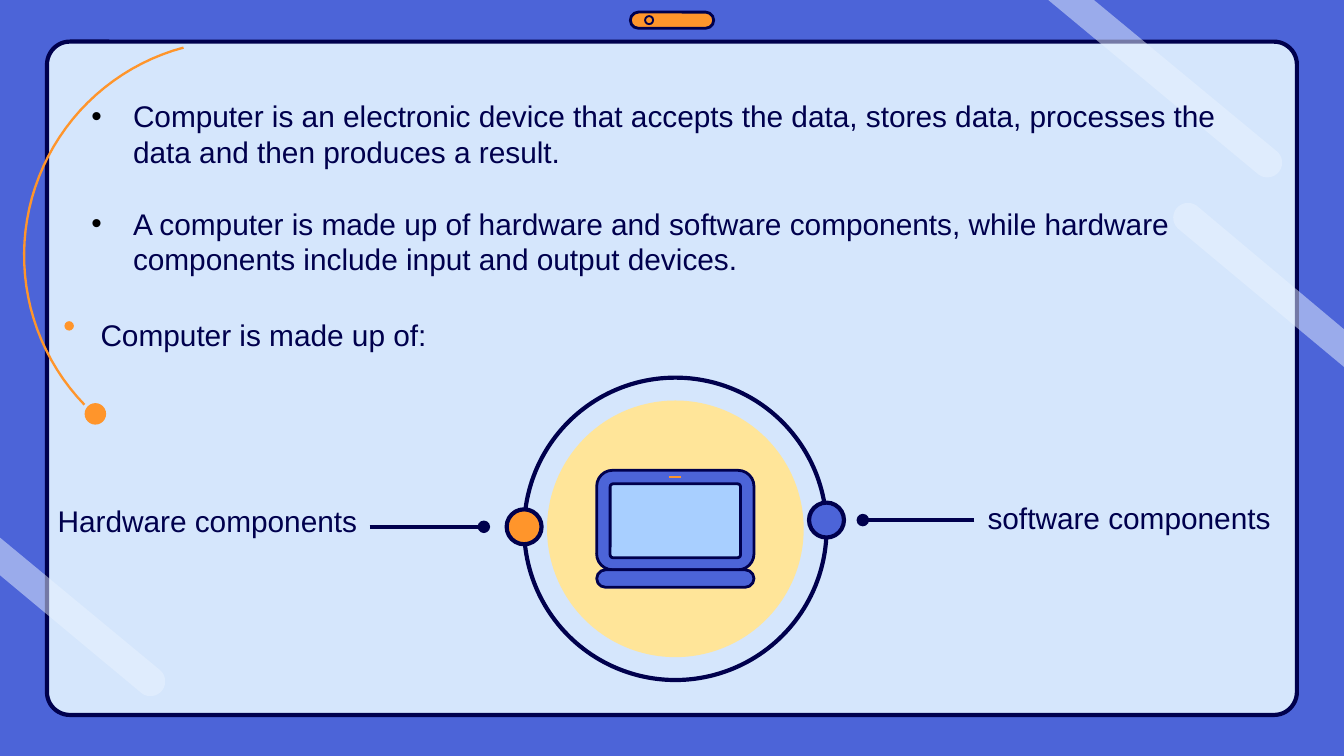
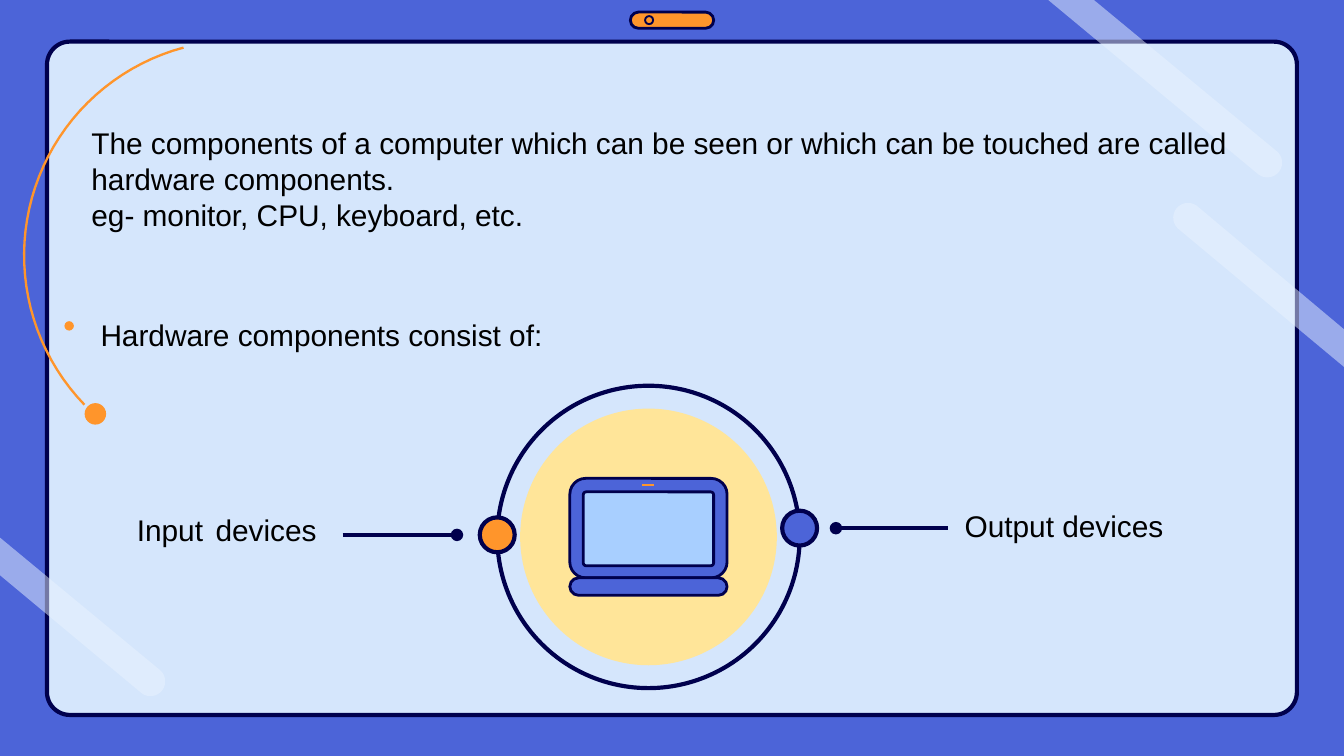
from math import cos, radians, sin

from lxml import etree
from pptx import Presentation
from pptx.dml.color import RGBColor
from pptx.enum.shapes import MSO_CONNECTOR, MSO_SHAPE
from pptx.enum.text import MSO_ANCHOR, MSO_AUTO_SIZE, PP_ALIGN
from pptx.oxml.ns import qn
from pptx.util import Inches, Pt

OVAL, ROUNDED = MSO_SHAPE.OVAL, MSO_SHAPE.ROUNDED_RECTANGLE
STRAIGHT = MSO_CONNECTOR.STRAIGHT
BLUE, NAVY, ORANGE, BLACK = "4C64D8", "00004D", "FF952B", "000000"
PALE, SCREEN, YELLOW, GLARE = "D5E6FC", "A8CFFF", "FFE599", "E9F3FF"


def style(sp, fill=None, line=None, width=0, alpha=None):
    """Set fill, outline and opacity (percent), and drop the shadow."""
    sp.shadow.inherit = False
    if fill:
        sp.fill.solid()
        sp.fill.fore_color.rgb = RGBColor.from_string(fill)
        if alpha:
            clr = sp.fill._xPr.find(".//" + qn("a:srgbClr"))
            etree.SubElement(clr, qn("a:alpha"), val=str(alpha * 1000))
    else:
        sp.fill.background()
    if line:
        sp.line.color.rgb = RGBColor.from_string(line)
        sp.line.width = Pt(width)
    else:
        sp.line.fill.background()


def write(tf, text, color=NAVY, size=16, gap=16, bullet=False, before=0, wrap=True):
    """Fill a text frame, one paragraph a line; gap is the size of spaces if it differs."""
    tf.word_wrap = wrap
    tf.auto_size = MSO_AUTO_SIZE.NONE
    tf.vertical_anchor = MSO_ANCHOR.TOP
    for i, line in enumerate(text.split("\n")):
        p = tf.add_paragraph() if i else tf.paragraphs[0]
        p.alignment = PP_ALIGN.LEFT
        p.space_before = Pt(before if i else 0)
        pPr = p._p.get_or_add_pPr()
        indent = Inches(0.31) if bullet else 0
        pPr.set("marL", str(indent))
        pPr.set("indent", str(-indent))
        if bullet:
            clr = etree.SubElement(pPr, qn("a:buClr"))
            etree.SubElement(clr, qn("a:srgbClr"), val=BLACK)
            etree.SubElement(pPr, qn("a:buFont"), typeface="Arial")
            etree.SubElement(pPr, qn("a:buChar"), char="•")
        else:
            etree.SubElement(pPr, qn("a:buNone"))
        pieces = [line] if gap == size else line.replace(" ", "\n \n").split("\n")
        for piece in pieces:
            r = p.add_run()
            r.text = piece
            r.font.name = "Arial"
            r.font.size = Pt(gap if piece == " " else size)
            r.font.color.rgb = RGBColor.from_string(color)


prs = Presentation()
prs.slide_width = Inches(10)
prs.slide_height = prs.slide_width * 9 // 16
layout = prs.slide_layouts[1]
layout.background.fill.solid()
layout.background.fill.fore_color.rgb = RGBColor.from_string(BLUE)
for ph in list(layout.placeholders):
    if ph.placeholder_format.idx != 1:
        ph._element.getparent().remove(ph._element)
body = layout.placeholders[0]
body.left, body.top, body.width, body.height = [Inches(v) for v in (0.58, 0.68, 8.71, 1.72)]

# Shared frame: built on the first slide, then moved to the layout
first = prs.slides.add_slide(layout)
frame = []
for kind, box, adj, fill, line, width in [
    (ROUNDED, (0.35, 0.31, 9.3, 5.01), 0.034, PALE, NAVY, 2.25),
    (ROUNDED, (4.69, 0.09, 0.62, 0.12), 0.5, ORANGE, NAVY, 1.5),
    (OVAL, (4.8, 0.12, 0.06, 0.06), None, None, NAVY, 1),
    (OVAL, (0.48, 2.39, 0.07, 0.07), None, ORANGE, None, 0),
    (OVAL, (0.63, 3, 0.16, 0.16), None, ORANGE, None, 0),
]:
    sp = first.shapes.add_shape(kind, *[Inches(v) for v in box])
    if adj:
        sp.adjustments[0] = adj
    style(sp, fill, line, width)
    frame.append(sp)

# Each curve: centre, radius, start and end angle, then the straight end points
arc = ((1.78, 1.9), 1.6, 136, 255, [])
glares = [
    ((9.43, 1.21), 0.11, -50, 130, [(7.8, 0), (8.14, 0)]),
    ((1.12, 5.07), 0.11, -50, 130, [(0, 4.28), (0, 4)]),
    ((8.84, 1.62), 0.11, 130, 310, [(10, 2.45), (10, 2.73)]),
]
for curve in [arc] + glares:
    (cx, cy), radius, start, end, tips = curve
    angles = [radians(start + (end - start) * i / 40) for i in range(41)]
    pts = [(cx + radius * cos(a), cy + radius * sin(a)) for a in angles] + tips
    pts = [(Inches(x), Inches(y)) for x, y in pts]
    builder = first.shapes.build_freeform(*pts[0])
    builder.add_line_segments(pts[1:], close=bool(tips))
    sp = builder.convert_to_shape()
    if tips:
        style(sp, GLARE, alpha=50)
    else:
        style(sp, line=ORANGE, width=1.25)
    frame.append(sp)
for sp in frame:
    layout.shapes._spTree.append(sp._element)

# Diagram parts, placed from the top left of the ring
DIAGRAM = [
    (OVAL, (0.17, 0.17, 1.91, 1.91), None, YELLOW, None, 0),
    (OVAL, (0, 0, 2.25, 2.25), None, None, NAVY, 2.25),
    (ROUNDED, (0.54, 0.69, 1.17, 0.74), 0.16, BLUE, NAVY, 1.5),
    (ROUNDED, (0.64, 0.79, 0.97, 0.55), 0.04, SCREEN, NAVY, 1.5),
    (ROUNDED, (0.54, 1.43, 1.17, 0.13), 0.5, BLUE, NAVY, 1.5),
    (OVAL, (-0.13, 0.98, 0.26, 0.26), None, ORANGE, NAVY, 2.25),
    (OVAL, (2.12, 0.93, 0.26, 0.26), None, BLUE, NAVY, 2.25),
]
LINES = [
    ((1.08, 0.74), (1.17, 0.74), ORANGE, 0.75, False),
    ((-1.15, 1.11), (-0.3, 1.11), NAVY, 2.25, True),
    ((3.35, 1.06), (2.52, 1.06), NAVY, 2.25, True),
]
SLIDES = [
    dict(
        ring=(3.9, 2.81), color=NAVY, body_box=(0.58, 0.68, 8.71, 1.72), bullet=True,
        body="Computer is an electronic device that accepts the data, stores data, "
             "processes the data and then produces a result.\n"
             "A computer is made up of hardware and software components, while "
             "hardware components include input and output devices.",
        labels=[("Hardware components", (0.33, 3.69, 2.58, 0.37), {}),
                ("Computer is made up of:", (0.65, 2.31, 2.66, 0.37), {"wrap": False}),
                ("software components", (7.25, 3.67, 2.7, 0.37), {})],
    ),
    dict(
        ring=(3.7, 2.87), color=BLACK, body_box=(0.58, 0.88, 8.71, 0.91), bullet=False,
        body="The components of a computer which can be seen or which can be touched "
             "are called hardware components.\neg- monitor, CPU, keyboard, etc.",
        labels=[("Input devices", (0.92, 3.65, 2.58, 0.5), {"gap": 24}),
                ("Hardware components consist of:", (0.65, 2.31, 3.53, 0.37), {"wrap": False}),
                ("Output devices", (7.08, 3.73, 2.83, 0.37), {})],
    ),
]

for i, data in enumerate(SLIDES):
    slide = prs.slides.add_slide(layout) if i else first
    for ph in list(slide.placeholders):
        if ph.placeholder_format.idx != 1:
            ph._element.getparent().remove(ph._element)
    x0, y0 = data["ring"]
    for kind, (x, y, w, h), adj, fill, line, width in DIAGRAM:
        sp = slide.shapes.add_shape(kind, Inches(x0 + x), Inches(y0 + y), Inches(w), Inches(h))
        if adj:
            sp.adjustments[0] = adj
        style(sp, fill, line, width)
    for (x1, y1), (x2, y2), color, width, dot in LINES:
        cxn = slide.shapes.add_connector(
            STRAIGHT, Inches(x0 + x1), Inches(y0 + y1), Inches(x0 + x2), Inches(y0 + y2))
        cxn.line.color.rgb = RGBColor.from_string(color)
        cxn.line.width = Pt(width)
        if dot:
            etree.SubElement(cxn.line._get_or_add_ln(), qn("a:tailEnd"), type="oval")
        etree.SubElement(cxn._element.spPr, qn("a:effectLst"))
    for text, box, options in data["labels"]:
        sp = slide.shapes.add_textbox(*[Inches(v) for v in box])
        write(sp.text_frame, text, data["color"], **options)
    body = slide.placeholders[1]
    body.left, body.top, body.width, body.height = [Inches(v) for v in data["body_box"]]
    write(body.text_frame, data["body"], data["color"], bullet=data["bullet"],
          before=19 if data["bullet"] else 0)

prs.save("out.pptx")
